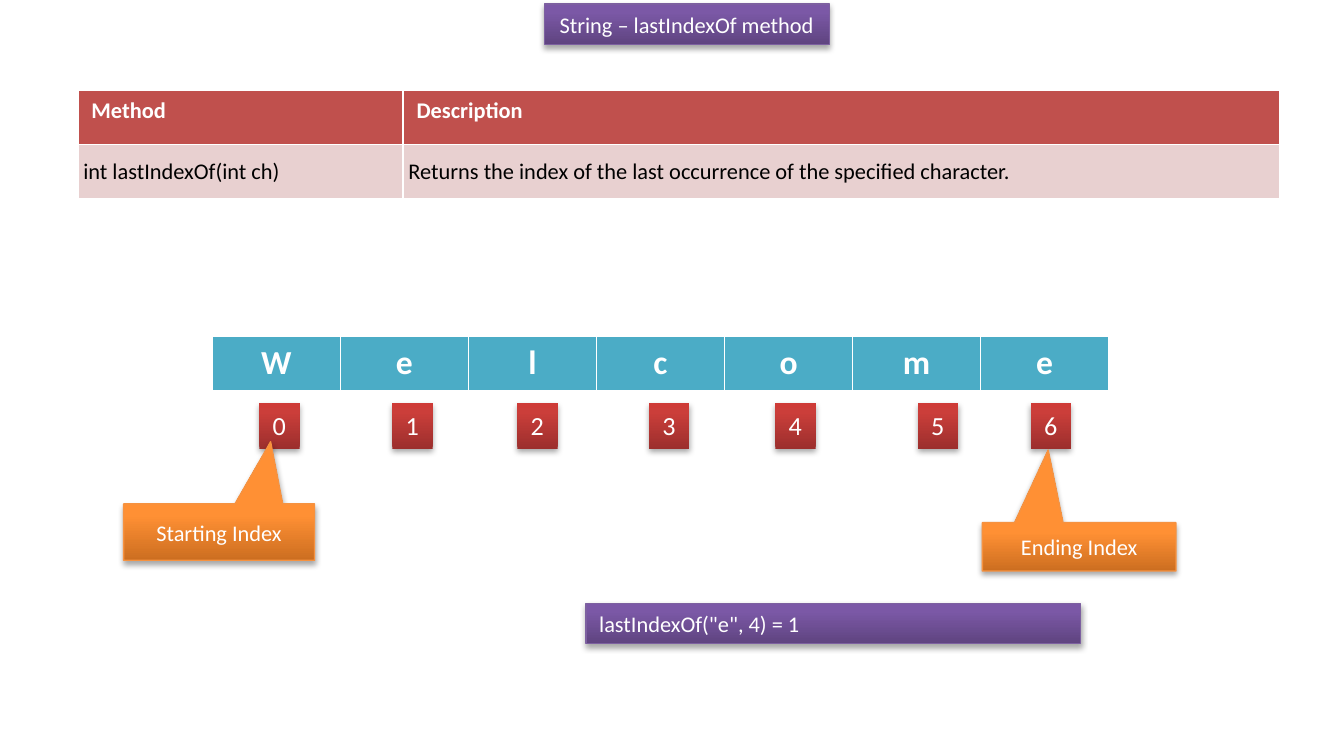
from copy import deepcopy

from pptx import Presentation
from pptx.dml.color import RGBColor
from pptx.enum.shapes import MSO_SHAPE
from pptx.enum.text import MSO_ANCHOR, MSO_AUTO_SIZE, PP_ALIGN
from pptx.oxml import parse_xml
from pptx.oxml.ns import nsdecls, qn
from pptx.util import Inches, Pt

RECTANGLE = MSO_SHAPE.RECTANGLE
CALLOUT = MSO_SHAPE.RECTANGULAR_CALLOUT
LEFT, CENTER = PP_ALIGN.LEFT, PP_ALIGN.CENTER
TOP, MIDDLE = MSO_ANCHOR.TOP, MSO_ANCHOR.MIDDLE
FIT_SHAPE = MSO_AUTO_SIZE.SHAPE_TO_FIT_TEXT
NO_FIT = MSO_AUTO_SIZE.NONE

PURPLE = ["5F4480", "7B58A6", "7C57A8"]
RED = ["9C2F2D", "CB3E3A", "CE3B37"]
ORANGE = ["CC6E20", "FF9034", "FF9136"]
SHADOW = (
    f'<a:outerShdw {nsdecls("a")} blurRad="40000" dist="23000" dir="5400000" '
    'rotWithShape="0"><a:srgbClr val="000000"><a:alpha val="35000"/>'
    "</a:srgbClr></a:outerShdw>"
)


def write(frame, text, size, color="FFFFFF", bold=False, align=LEFT):
    para = frame.paragraphs[0]
    para.alignment = align
    span = para.add_run()
    span.text = text
    span.font.name = "Calibri"
    span.font.size = Pt(size)
    span.font.bold = bold
    span.font.color.rgb = RGBColor.from_string(color)


def style_box(box, shades, outline=None, anchor=TOP, fit=FIT_SHAPE, wrap=True):
    """Give a shape its vertical gradient, outline, soft shadow and text layout."""
    box.fill.gradient()
    box.fill.gradient_angle = 90
    stop_list = box._element.spPr.find(".//" + qn("a:gsLst"))
    stop_list.append(deepcopy(stop_list[-1]))
    for stop, position, shade in zip(box.fill.gradient_stops, (0, 0.8, 1), shades):
        stop.position = position
        stop.color.rgb = RGBColor.from_string(shade)
    if outline:
        box.line.color.rgb = RGBColor.from_string(outline)
        box.line.width = Pt(0.75)
    else:
        box.line.fill.background()
    box.shadow.inherit = False
    box._element.spPr.find(qn("a:effectLst")).append(parse_xml(SHADOW))
    frame = box.text_frame
    frame.word_wrap = wrap
    frame.auto_size = fit
    frame.vertical_anchor = anchor


deck = Presentation()
deck.slide_width, deck.slide_height = Inches(10), Inches(5.5)
page = deck.slides.add_slide(deck.slide_layouts[5])
shapes = page.shapes

# Title
title = shapes.title
title.left, title.top = Inches(4.05), Inches(0.03)
title.width, title.height = Inches(2.12), Inches(0.3)
style_box(title, PURPLE, "7D60A0", fit=NO_FIT)
write(title.text_frame, "String – lastIndexOf method", 12, align=CENTER)

# Method table
rows = [
    ("Method", "Description"),
    ("int lastIndexOf(int ch)",
     "Returns the index of the last occurrence of the specified character."),
]
methods = shapes.add_table(
    2, 2, Inches(0.58), Inches(0.67), Inches(8.94), Inches(0.81)).table
methods.columns[0].width, methods.columns[1].width = Inches(2.42), Inches(6.52)
for row, texts in enumerate(rows):
    for column, text in enumerate(texts):
        cell = methods.cell(row, column)
        cell.fill.solid()
        cell.fill.fore_color.rgb = RGBColor.from_string(("C0504D", "E8D0D0")[row])
        if row == 0:
            write(cell.text_frame, text, 12, bold=True)
        else:
            cell.vertical_anchor = MIDDLE
            cell.margin_left = cell.margin_right = Inches(0.04)
            cell.margin_top = cell.margin_bottom = Inches(0.04)
            write(cell.text_frame, text, 12, "000000")

# Letters of the word and their indexes
word = "Welcome"
letters = shapes.add_table(
    1, len(word), Inches(1.58), Inches(2.5), Inches(6.67), Inches(0.4)).table
for column, letter in enumerate(word):
    cell = letters.cell(0, column)
    cell.fill.solid()
    cell.fill.fore_color.rgb = RGBColor.from_string("4BACC6")
    write(cell.text_frame, letter, 18, bold=True, align=CENTER)

for index, left in enumerate([1.93, 2.92, 3.85, 4.83, 5.77, 6.83, 7.67]):
    box = shapes.add_shape(
        RECTANGLE, Inches(left), Inches(3), Inches(0.3), Inches(0.34))
    style_box(box, RED, wrap=False)
    write(box.text_frame, str(index), 14)

# Callouts pointing at the first and last index
callouts = [
    ("Starting Index", 0.92, 3.75, 1.42, 0.42, (0.27, -1.6)),
    ("Ending Index", 7.31, 3.89, 1.44, 0.36, (-0.16, -2)),
]
for text, left, top, width, height, tip in callouts:
    callout = shapes.add_shape(
        CALLOUT, Inches(left), Inches(top), Inches(width), Inches(height))
    callout.adjustments[0], callout.adjustments[1] = tip
    style_box(callout, ORANGE, "F69240", MIDDLE, NO_FIT)
    write(callout.text_frame, text, 12, align=CENTER)

# Example call
example = shapes.add_shape(
    RECTANGLE, Inches(4.36), Inches(4.49), Inches(3.68), Inches(0.3))
style_box(example, PURPLE, "7D60A0")
write(example.text_frame, 'lastIndexOf("e", 4) = 1', 12)

deck.save("out.pptx")
